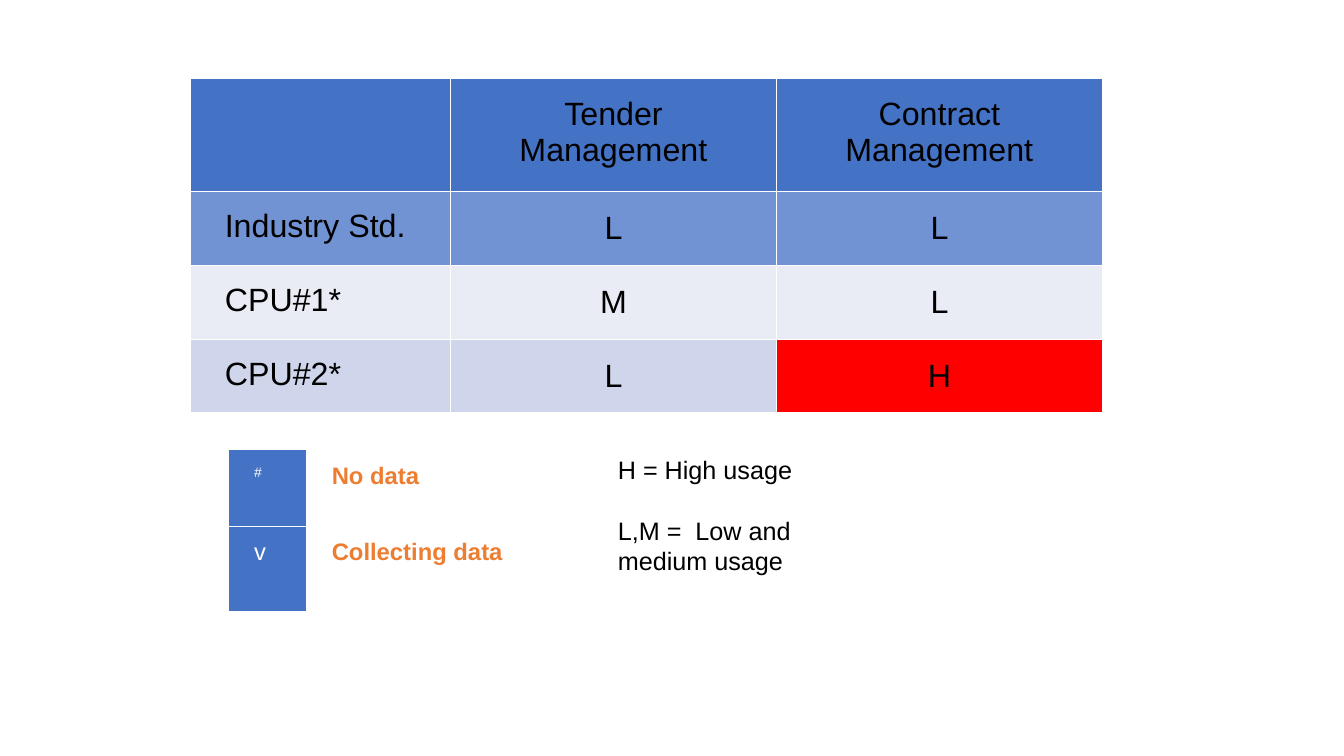
from pptx import Presentation
from pptx import util as u
from pptx.dml.color import RGBColor
from pptx.enum import text
from pptx.oxml import parse_xml
from pptx.oxml.ns import nsdecls

BLACK = RGBColor(0x00, 0x00, 0x00)
WHITE = RGBColor(0xFF, 0xFF, 0xFF)
BLUE = RGBColor(0x44, 0x72, 0xC4)
MID_BLUE = RGBColor(0x71, 0x92, 0xD3)
PALE_BLUE = RGBColor(0xE9, 0xEB, 0xF5)
SOFT_BLUE = RGBColor(0xCF, 0xD5, 0xEA)
RED = RGBColor(0xFF, 0x00, 0x00)
ORANGE = RGBColor(0xED, 0x7D, 0x31)

CENTER = text.PP_ALIGN.CENTER
LEFT = text.PP_ALIGN.LEFT
TOP = text.MSO_ANCHOR.TOP
MIDDLE = text.MSO_ANCHOR.MIDDLE


class UsagePage:
    """Places elements on a grid of 100 columns by 100 rows."""

    font = "Arial"

    def __init__(self, deck):
        self.page = deck.slides.add_slide(deck.slide_layouts[6])
        self.column = deck.slide_width / 100
        self.row = deck.slide_height / 100

    def across(self, columns):
        return u.Emu(round(columns * self.column))

    def down(self, rows):
        return u.Emu(round(rows * self.row))

    def label(self, para, words, size, color, bold=False, align=LEFT):
        span = para.add_run()
        span.text = words
        para.alignment = align
        para.font.name = self.font
        para.font.size = u.Pt(size)
        para.font.bold = bold
        para.font.color.rgb = color
        return span

    def note(self, left, top, width, height, lines, size, gap):
        box = self.page.shapes.add_textbox(
            self.across(left), self.down(top), self.across(width), self.down(height))
        frame = box.text_frame
        frame.word_wrap = True
        for number, words in enumerate(lines):
            para = frame.add_paragraph() if number else frame.paragraphs[0]
            para.space_before = u.Pt(gap if number else 0)
            self.label(para, words, size, BLACK)

    def table(self, left, top, widths, heights):
        frame = self.page.shapes.add_table(
            len(heights), len(widths), self.across(left), self.down(top),
            self.across(sum(widths)), self.down(sum(heights)))
        grid = frame.table
        for column, width in zip(grid.columns, widths):
            column.width = self.across(width)
        for row, height in zip(grid.rows, heights):
            row.height = self.down(height)
        return grid

    def cell(self, cell, words, size, fill, color, inset, anchor=TOP, **style):
        cell.margin_left = cell.margin_right = self.across(inset[0])
        cell.margin_top = cell.margin_bottom = self.down(inset[1])
        cell.vertical_anchor = anchor
        # Thin white borders come before the fill in the cell properties
        properties = cell._tc.get_or_add_tcPr()
        for side in "LRTB":
            properties.append(parse_xml(
                f'<a:ln{side} {nsdecls("a")} w="{u.Pt(1)}"><a:solidFill>'
                f'<a:srgbClr val="{WHITE}"/></a:solidFill></a:ln{side}>'))
        cell.fill.solid()
        cell.fill.fore_color.rgb = fill
        if words:
            return self.label(cell.text_frame.paragraphs[0], words, size, color, **style)


def main():
    deck = Presentation()
    deck.slide_width, deck.slide_height = u.Inches(13.333), u.Inches(7.5)
    page = UsagePage(deck)

    # Key to the usage letters
    page.note(45.23, 59.47, 18.9, 17.47,
              ["H = High usage", "L,M =  Low and medium usage"], size=18, gap=22)

    # Key to the data symbols
    legend = page.table(17.03, 59.47, widths=[5.78, 19.05], heights=[10.13, 11.33])
    for row, (symbol, meaning) in enumerate([("#", "No data"), ("v", "Collecting data")]):
        inset = (1.88, 1.73)
        span = page.cell(legend.cell(row, 0), symbol, 17, BLUE, WHITE, inset)
        if symbol == "#":
            span.font._element.set("baseline", "30000")
        page.cell(legend.cell(row, 1), meaning, 17, WHITE, ORANGE, inset, bold=True)

    # Usage matrix
    usage = [
        (BLUE, ["", "Tender Management", "Contract Management"]),
        (MID_BLUE, ["Industry Std.", "L", "L"]),
        (PALE_BLUE, ["CPU#1*", "M", "L"]),
        (SOFT_BLUE, ["CPU#2*", "L", "H"]),
    ]
    matrix = page.table(14.18, 10.4, widths=[19.35, 24.25, 24.25],
                        heights=[14.93] + [9.77] * 3)
    for row, (fill, entries) in enumerate(usage):
        for column, words in enumerate(entries):
            page.cell(matrix.cell(row, column), words, 23,
                      RED if words == "H" else fill, BLACK, inset=(2.55, 2.27),
                      anchor=MIDDLE if row and column else TOP,
                      align=CENTER if column else LEFT)

    deck.save("out.pptx")


if __name__ == "__main__":
    main()
